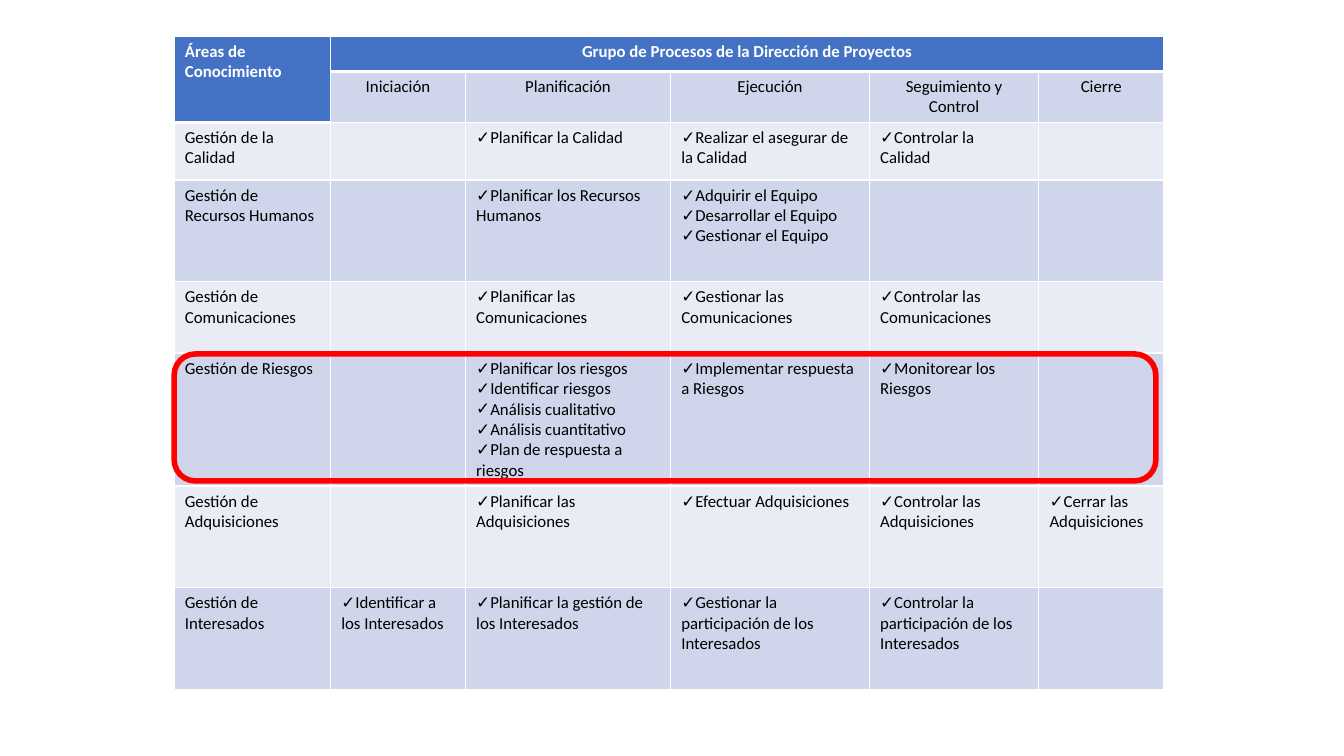
from pptx import Presentation
from pptx.dml.color import RGBColor
from pptx.enum.shapes import MSO_SHAPE as Shape
from pptx.enum.text import PP_ALIGN as Align
from pptx.oxml.ns import qn
from pptx.util import Cm, Pt
from lxml.etree import SubElement

BLUE, BAND, LIGHT = "4472C4", "CFD5EA", "E9EBF5"
WHITE, BLACK, RED = "FFFFFF", "000000", "FF0000"

COLUMN_WIDTHS = [3.94, 3.4, 5.17, 5.01, 4.27, 3.15]
ROW_HEIGHTS = [0.89, 1.17, 1.45, 2.56, 1.8, 2.56, 2.56, 2.56]
ROWS = [
    ["Áreas de Conocimiento", "Grupo de Procesos de la Dirección de Proyectos", "", "", "", ""],
    ["", "Iniciación", "Planificación", "Ejecución", "Seguimiento y Control", "Cierre"],
    ["Gestión de la Calidad", "", "Planificar la Calidad",
     "Realizar el asegurar de la Calidad", "Controlar la Calidad", ""],
    ["Gestión de Recursos Humanos", "", "Planificar los Recursos Humanos",
     "Adquirir el Equipo\nDesarrollar el Equipo\nGestionar el Equipo", "", ""],
    ["Gestión de Comunicaciones", "", "Planificar las Comunicaciones",
     "Gestionar las Comunicaciones", "Controlar las Comunicaciones", ""],
    ["Gestión de Riesgos", "",
     "Planificar los riesgos\nIdentificar riesgos\nAnálisis cualitativo\n"
     "Análisis cuantitativo\nPlan de respuesta a riesgos",
     "Implementar respuesta a Riesgos", "Monitorear los Riesgos", ""],
    ["Gestión de Adquisiciones", "", "Planificar las Adquisiciones",
     "Efectuar Adquisiciones", "Controlar las Adquisiciones", "Cerrar las Adquisiciones"],
    ["Gestión de Interesados", "Identificar a los Interesados",
     "Planificar la gestión de los Interesados",
     "Gestionar la participación de los Interesados",
     "Controlar la participación de los Interesados", ""],
]


def color(value):
    return RGBColor.from_string(value)


def add_borders(cell, top, bottom):
    properties = cell._tc.get_or_add_tcPr()
    for edge, width in (("lnL", 1), ("lnR", 1), ("lnT", top), ("lnB", bottom)):
        line = SubElement(properties, qn(f"a:{edge}"), w=str(Pt(width)))
        fill = SubElement(line, qn("a:solidFill"))
        SubElement(fill, qn("a:srgbClr"), val=WHITE)


def add_check(paragraph):
    properties = paragraph._p.get_or_add_pPr()
    properties.set("marL", "0")
    properties.set("indent", "0")
    SubElement(properties, qn("a:buFont"), typeface="Calibri")
    SubElement(properties, qn("a:buChar"), char="✓")


def format_cell(cell, row, column, text):
    is_header = row == 0 or (row == 1 and column == 0)
    below_header = row == 1 or (row == 2 and column == 0)
    add_borders(cell, 3 if below_header else 1, 3 if is_header else 1)
    cell.fill.solid()
    cell.fill.fore_color.rgb = color(BLUE if is_header else LIGHT if row % 2 == 0 else BAND)
    cell.margin_left = cell.margin_right = Cm(0.27)
    cell.text = text
    for paragraph in cell.text_frame.paragraphs:
        if text and row > 1 and column > 0:
            add_check(paragraph)
        if row < 2 and column > 0:
            paragraph.alignment = Align.CENTER
        font = paragraph.font
        font.name, font.size, font.bold = "Calibri", Pt(12), is_header
        font.color.rgb = color(WHITE if is_header else BLACK)


def add_process_table(slide, left, top, width, height):
    frame = slide.shapes.add_table(len(ROWS), len(COLUMN_WIDTHS),
                                   Cm(left), Cm(top), Cm(width), Cm(height))
    table = frame.table
    table.first_row = table.horz_banding = False
    for column, size in zip(table.columns, COLUMN_WIDTHS):
        column.width = Cm(size)
    for row, size in zip(table.rows, ROW_HEIGHTS):
        row.height = Cm(size)
    frame.height = Cm(height)
    for row, texts in enumerate(ROWS):
        for column, text in enumerate(texts):
            format_cell(table.cell(row, column), row, column, text)
    table.cell(0, 0).merge(table.cell(1, 0))
    table.cell(0, 1).merge(table.cell(0, 5))


def add_risk_highlight(slide, left, top, width, height):
    shape = slide.shapes.add_shape(Shape.ROUNDED_RECTANGLE,
                                   Cm(left), Cm(top), Cm(width), Cm(height))
    shape.shadow.inherit = False
    shape.fill.background()
    shape.line.color.rgb = color(RED)
    shape.line.width = Pt(4)


def main():
    presentation = Presentation()
    presentation.slide_width, presentation.slide_height = Cm(33.87), Cm(19.05)
    slide = presentation.slides.add_slide(presentation.slide_layouts[6])
    add_process_table(slide, 4.39, 0.91, 24.94, 16.38)
    add_risk_highlight(slide, 4.39, 8.92, 24.74, 3.2)
    presentation.save("out.pptx")


if __name__ == "__main__":
    main()
